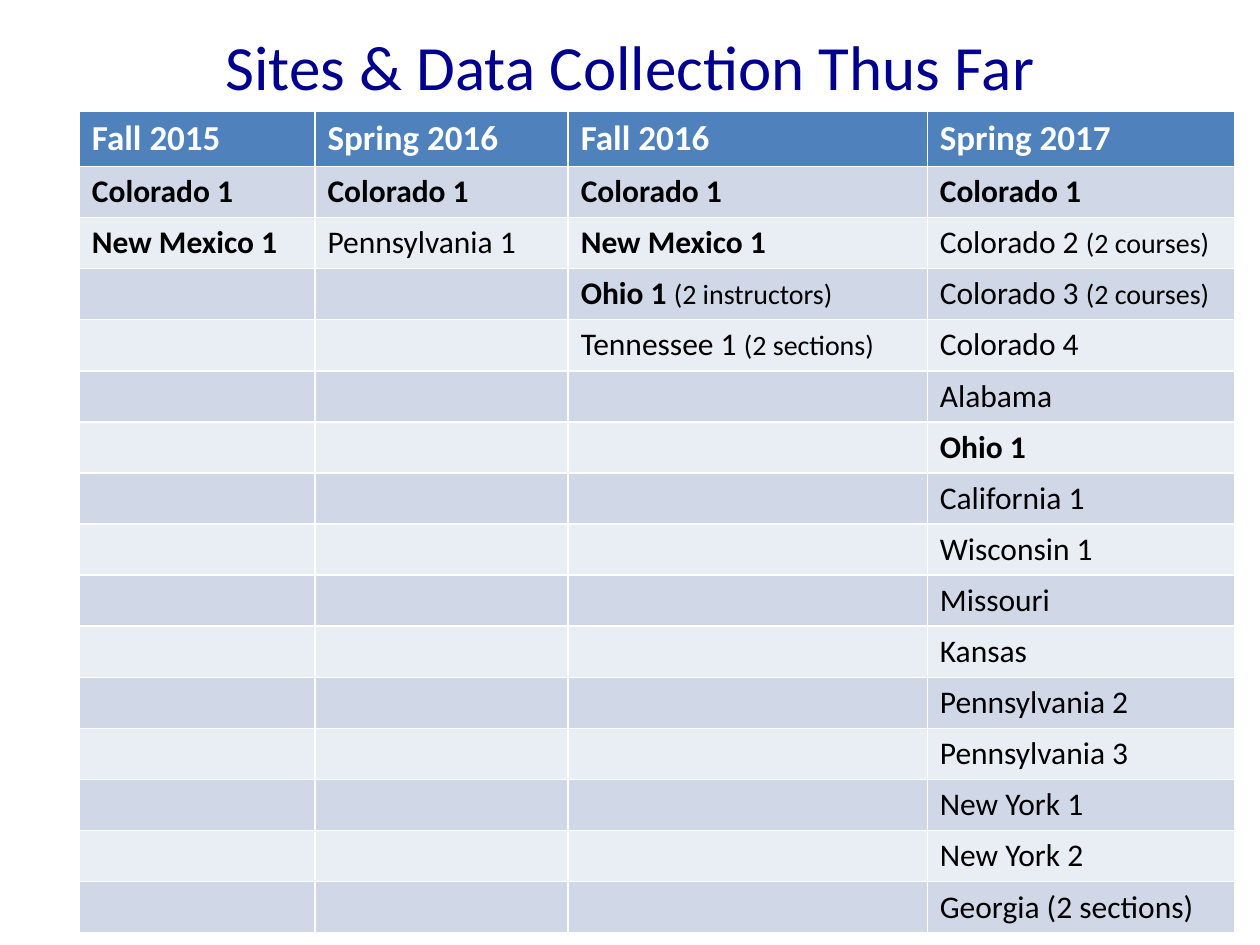
from dataclasses import dataclass
from itertools import zip_longest

from pptx import Presentation
from pptx.dml.color import RGBColor as Rgb
from pptx.enum.text import MSO_ANCHOR as Anchor, PP_ALIGN as Align
from pptx.util import Inches, Pt


@dataclass(frozen=True)
class Theme:
    """Colours, font and type sizes of the slide."""
    font: str = "Calibri"
    title: str = "000090"
    header: str = "4F81BD"
    header_text: str = "FFFFFF"
    text: str = "000000"
    bands: tuple = ("D0D8E8", "E9EDF4")
    title_size: int = 36
    header_size: int = 20
    site_size: int = 18
    note_size: int = 16


THEME = Theme()
SLIDE_SIZE = (10, 7.5)
TITLE_BOX = (0.5, 0, 9, 1.03)
TABLE_BOX = (0.63, 0.88, 9.17, 6.51)
COLUMN_SHARES = (1.87, 2.01, 2.85, 2.44)
HEADER_HEIGHT = 0.44

RETURNING_SITES = {"Colorado 1", "New Mexico 1", "Ohio 1"}
SITES_BY_TERM = {
    "Fall 2015": ["Colorado 1", "New Mexico 1"],
    "Spring 2016": ["Colorado 1", "Pennsylvania 1"],
    "Fall 2016": ["Colorado 1", "New Mexico 1", ("Ohio 1", "(2 instructors)"),
                  ("Tennessee 1", "(2 sections)")],
    "Spring 2017": ["Colorado 1", ("Colorado 2", "(2 courses)"),
                    ("Colorado 3", "(2 courses)"), "Colorado 4", "Alabama",
                    "Ohio 1", "California 1", "Wisconsin 1", "Missouri",
                    "Kansas", "Pennsylvania 2", "Pennsylvania 3",
                    "New York 1", "New York 2", "Georgia (2 sections)"],
}


def add_text(paragraph, text, *, size, color=THEME.text, bold=False):
    """Append a formatted run to a paragraph."""
    run = paragraph.add_run()
    run.text = text
    run.font.name = THEME.font
    run.font.size = Pt(size)
    run.font.bold = bold
    run.font.color.rgb = Rgb.from_string(color)


def fill_cell(cell, color):
    """Give a cell a solid fill and return its paragraph."""
    cell.fill.solid()
    cell.fill.fore_color.rgb = Rgb.from_string(color)
    return cell.text_frame.paragraphs[0]


def place_title(slide, box, text):
    """Position and write the slide title."""
    title = slide.shapes.title
    title.left, title.top, title.width, title.height = map(Inches, box)
    title.text_frame.vertical_anchor = Anchor.MIDDLE
    heading = title.text_frame.paragraphs[0]
    heading.alignment = Align.CENTER
    add_text(heading, text, size=THEME.title_size, color=THEME.title)


def write_site(paragraph, entry):
    """Write a site with its optional smaller note."""
    site, note = entry if isinstance(entry, tuple) else (entry, "")
    add_text(paragraph, f"{site} " if note else site,
             size=THEME.site_size, bold=site in RETURNING_SITES)
    if note:
        add_text(paragraph, note, size=THEME.note_size)


def place_sites(slide, box, sites_by_term):
    """Build the table of sites, one column for each term."""
    site_rows = list(zip_longest(*sites_by_term.values()))
    width, height = box[2:]
    table = slide.shapes.add_table(len(site_rows) + 1, len(sites_by_term),
                                   *map(Inches, box)).table
    for column, share in zip(table.columns, COLUMN_SHARES):
        column.width = Inches(width * share / sum(COLUMN_SHARES))
    site_height = (height - HEADER_HEIGHT) / len(site_rows)
    for index, row in enumerate(table.rows):
        row.height = Inches(site_height if index else HEADER_HEIGHT)

    for index, term in enumerate(sites_by_term):
        add_text(fill_cell(table.cell(0, index), THEME.header), term,
                 size=THEME.header_size, color=THEME.header_text, bold=True)
    for row_index, entries in enumerate(site_rows):
        band = THEME.bands[row_index % len(THEME.bands)]
        for column_index, entry in enumerate(entries):
            paragraph = fill_cell(table.cell(row_index + 1, column_index), band)
            if entry:
                write_site(paragraph, entry)


def main():
    """Build and save the slide."""
    deck = Presentation()
    deck.slide_width, deck.slide_height = map(Inches, SLIDE_SIZE)
    slide = deck.slides.add_slide(deck.slide_layouts[5])
    place_title(slide, TITLE_BOX, "Sites & Data Collection Thus Far")
    place_sites(slide, TABLE_BOX, SITES_BY_TERM)
    deck.save("out.pptx")


main()
